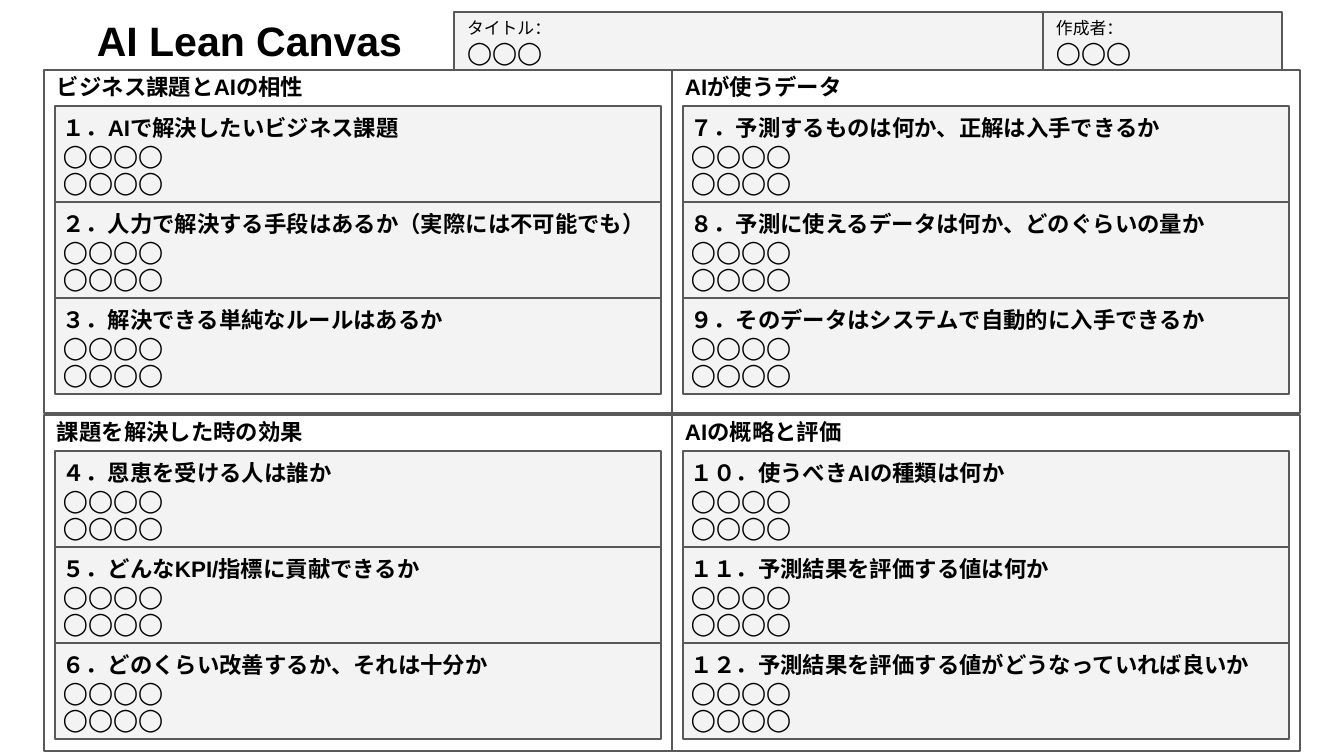
"""Build the AI Lean Canvas slide: a header and four panels of three question cards."""
from lxml.etree import SubElement
from pptx import Presentation
from pptx.dml.color import RGBColor
from pptx.enum.shapes import MSO_SHAPE
from pptx.enum.text import MSO_ANCHOR as Anchor, PP_ALIGN as Align
from pptx.oxml.ns import qn
from pptx.util import Pt

SCALE = 914400 / 134.4
BLACK = RGBColor(0x00, 0x00, 0x00)
GRAY = RGBColor(0x59, 0x59, 0x59)
LIGHT = RGBColor(0xF3, 0xF3, 0xF3)
FONT = "Arial"


def px(value):
    return round(value * SCALE)


def write(shape, lines, insets=(13, 13, 13, 13), align=Align.LEFT, anchor=Anchor.TOP):
    frame = shape.text_frame
    frame.word_wrap = True
    frame.vertical_anchor = anchor
    frame.margin_left, frame.margin_top, frame.margin_right, frame.margin_bottom = map(px, insets)
    for index, (text, size, bold) in enumerate(lines):
        paragraph = frame.add_paragraph() if index else frame.paragraphs[0]
        paragraph.alignment = align
        run = paragraph.add_run()
        run.text = text
        run.font.size = Pt(size)
        run.font.bold = bold
        run.font.color.rgb = BLACK
        run.font.name = FONT
        SubElement(run._r.get_or_add_rPr(), qn("a:ea"), typeface=FONT)


def add_box(left, top, width, height, fill=None):
    shape = slide.shapes.add_shape(MSO_SHAPE.RECTANGLE, px(left), px(top), px(width), px(height))
    shape.shadow.inherit = False
    if fill is None:
        shape.fill.background()
    else:
        shape.fill.solid()
        shape.fill.fore_color.rgb = fill
    shape.line.color.rgb = GRAY
    shape.line.width = Pt(0.75)
    return shape


presentation = Presentation()
presentation.slide_width = px(1344)
presentation.slide_height = px(756)
slide = presentation.slides.add_slide(presentation.slide_layouts[6])

title = slide.shapes.add_textbox(px(44), px(2), px(411), px(58))
write(title, [("AI Lean Canvas", 22, True)], align=Align.CENTER)

for label, left, width in [("タイトル：", 454, 589), ("作成者：", 1043, 239)]:
    field = add_box(left, 12, width, 58, LIGHT)
    write(field, [(label, 9, False), ("◯◯◯", 12, True)], anchor=Anchor.MIDDLE)

PANEL_LEFTS = [44, 672]
PANEL_ROWS = [(70, 343), (415, 336)]
PANEL_WIDTH = 628
CARD_INSET, CARD_OFFSET, CARD_HEIGHT = 11, 36, 96
ANSWER = ("◯◯◯◯", 12, False)

panels = [
    (0, 0, "ビジネス課題とAIの相性", [
        "１．AIで解決したいビジネス課題",
        "２．人力で解決する手段はあるか（実際には不可能でも）",
        "３．解決できる単純なルールはあるか",
    ]),
    (0, 1, "課題を解決した時の効果", [
        "４．恩恵を受ける人は誰か",
        "５．どんなKPI/指標に貢献できるか",
        "６．どのくらい改善するか、それは十分か",
    ]),
    (1, 0, "AIが使うデータ", [
        "７．予測するものは何か、正解は入手できるか",
        "８．予測に使えるデータは何か、どのぐらいの量か",
        "９．そのデータはシステムで自動的に入手できるか",
    ]),
    (1, 1, "AIの概略と評価", [
        "１０．使うべきAIの種類は何か",
        "１１．予測結果を評価する値は何か",
        "１２．予測結果を評価する値がどうなっていれば良いか",
    ]),
]

for column, row, heading, questions in panels:
    left = PANEL_LEFTS[column]
    top, height = PANEL_ROWS[row]
    panel = add_box(left, top, PANEL_WIDTH, height)
    write(panel, [(heading, 12, True)], insets=(13, 3, 13, 3))
    for index, question in enumerate(questions):
        card = add_box(left + CARD_INSET, top + CARD_OFFSET + index * CARD_HEIGHT,
                       PANEL_WIDTH - 2 * CARD_INSET, CARD_HEIGHT, LIGHT)
        write(card, [(question, 12, True), ANSWER, ANSWER], insets=(8, 8, 8, 13))

presentation.save("out.pptx")
